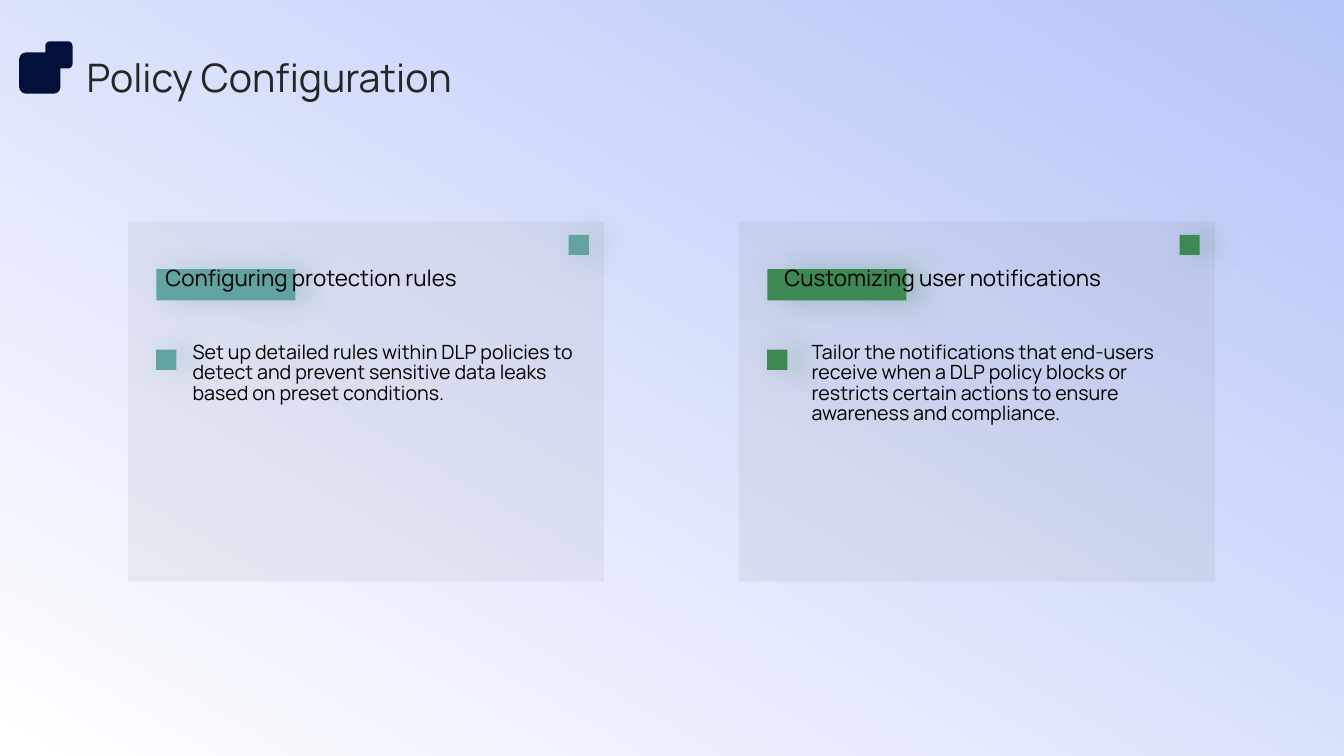
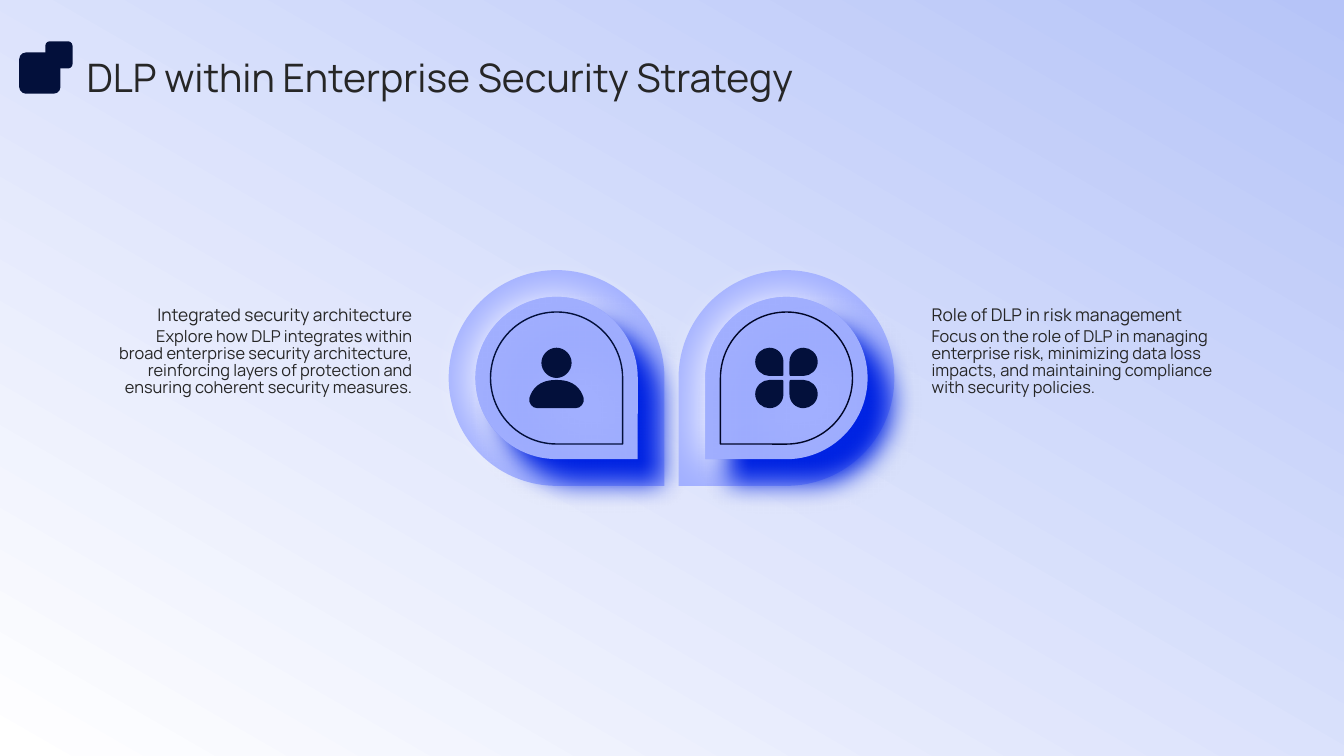
from lxml.etree import SubElement
from pptx import Presentation
from pptx.dml.color import RGBColor
from pptx.enum.shapes import MSO_SHAPE
from pptx.enum.text import MSO_ANCHOR, PP_ALIGN
from pptx.oxml.ns import qn
from pptx.util import Inches, Pt

BLACK = RGBColor(0x00, 0x00, 0x00)
WHITE = RGBColor(0xFF, 0xFF, 0xFF)
CHARCOAL = RGBColor(0x26, 0x26, 0x26)
GRAY = RGBColor(0x80, 0x80, 0x80)
NAVY = RGBColor(0x03, 0x10, 0x3B)
INK = RGBColor(0x00, 0x06, 0x27)
SKY = RGBColor(0xB6, 0xC4, 0xF8)
PERIWINKLE = RGBColor(0xA1, 0xAF, 0xFF)
COBALT = RGBColor(0x00, 0x23, 0xE3)
ROYAL = RGBColor(0x23, 0x4E, 0xEB)
TEAL = RGBColor(0x62, 0xA3, 0x9F)
GREEN = RGBColor(0x3E, 0x88, 0x53)

FONT = "Manrope"
WIDTH, HEIGHT = 13.33, 7.5
BODY_SPACING = 0.87

# Icon outlines: (command, x, y, ...) in inches from the icon centre
PERSON = [
    ("M", 0, 0.02), ("C", 0.18, 0.02, 0.24, 0.11, 0.27, 0.2),
    ("C", 0.28, 0.25, 0.24, 0.3, 0.19, 0.3), ("L", -0.19, 0.3),
    ("C", -0.24, 0.3, -0.28, 0.25, -0.27, 0.2),
    ("C", -0.24, 0.11, -0.18, 0.02, 0, 0.02), ("Z",),
    ("M", 0, -0.3), ("C", 0.08, -0.3, 0.15, -0.23, 0.15, -0.15),
    ("C", 0.15, -0.07, 0.08, 0, 0, 0),
    ("C", -0.08, 0, -0.15, -0.07, -0.15, -0.15),
    ("C", -0.15, -0.23, -0.08, -0.3, 0, -0.3), ("Z",),
]
PETAL = [
    ("M", 0.04, 0.02), ("L", 0.17, 0.02),
    ("C", 0.24, 0.02, 0.31, 0.08, 0.31, 0.16),
    ("C", 0.31, 0.24, 0.24, 0.3, 0.17, 0.3),
    ("C", 0.09, 0.3, 0.03, 0.24, 0.03, 0.16),
    ("L", 0.03, 0.04), ("C", 0.03, 0.03, 0.03, 0.02, 0.04, 0.02), ("Z",),
]
PATH_TAGS = {"M": "a:moveTo", "L": "a:lnTo", "C": "a:cubicBezTo", "Z": "a:close"}


def mirrored(outline, x_sign, y_sign):
    signs = (x_sign, y_sign)
    return [(step[0], *(value * signs[i % 2] for i, value in enumerate(step[1:])))
            for step in outline]


def clover():
    return [step for x_sign, y_sign in ((1, 1), (-1, 1), (1, -1), (-1, -1))
            for step in mirrored(PETAL, x_sign, y_sign)]


def joined_outline(outline):
    """Give every L step, written with x alone or in full, both coordinates."""
    steps = []
    for step in outline:
        if len(step) == 2:
            step = (*step, steps[-1][-1])
        steps.append(step)
    return steps


def set_alpha(color_element, percent):
    SubElement(color_element, qn("a:alpha"), val=str(percent * 1000))


def add_shadow(shape, color, alpha, blur, distance, direction):
    effects = shape._element.spPr.find(qn("a:effectLst"))
    shadow = SubElement(effects, qn("a:outerShdw"), blurRad=str(Pt(blur)), dist=str(Pt(distance)),
                        dir=str(direction * 60000), algn="ctr", rotWithShape="0")
    set_alpha(SubElement(shadow, qn("a:srgbClr"), val=str(color)), alpha)


def paint(shape, fill=None, line=None, alpha=None, shadow=None):
    shape.shadow.inherit = False
    if fill is None:
        shape.fill.background()
    else:
        shape.fill.solid()
        shape.fill.fore_color.rgb = fill
    if line is None:
        shape.line.fill.background()
    else:
        shape.line.color.rgb = line
        shape.line.width = Pt(1)
    if alpha is not None:
        set_alpha(shape._element.spPr.find(qn("a:solidFill"))[0], alpha)
    if shadow:
        add_shadow(shape, *shadow)


def add_preset(page, kind, place, rotation=0, **look):
    shape = page.shapes.add_shape(kind, *map(Inches, place))
    shape.rotation = rotation
    paint(shape, **look)
    return shape


def add_text(page, place, text, size, color=BLACK, anchor=MSO_ANCHOR.TOP,
             align=PP_ALIGN.LEFT, spacing=1.0):
    frame = page.shapes.add_textbox(*map(Inches, place)).text_frame
    para = frame.paragraphs[0]
    span = para.add_run()
    span.text = text
    formats = (
        (frame, {"word_wrap": True, "vertical_anchor": anchor, "margin_left": 0,
                 "margin_right": 0, "margin_top": 0, "margin_bottom": 0}),
        (para, {"alignment": align, "line_spacing": spacing}),
        (span.font, {"name": FONT, "size": Pt(size)}),
    )
    for target, values in formats:
        for name, value in values.items():
            setattr(target, name, value)
    span.font.color.rgb = color


def add_icon(page, center, outline):
    """Draw a curved outline, filled navy, around a centre point."""
    steps = [(step[0], list(zip(step[1::2], step[2::2]))) for step in joined_outline(outline)]
    points = [point for _, pairs in steps for point in pairs]
    left, right = min(x for x, _ in points), max(x for x, _ in points)
    top, bottom = min(y for _, y in points), max(y for _, y in points)
    corners = [(Inches(center[0] + x), Inches(center[1] + y))
               for x, y in ((left, top), (right, top), (right, bottom), (left, bottom))]
    builder = page.shapes.build_freeform(*corners[0])
    builder.add_line_segments(corners[1:])
    icon = builder.convert_to_shape()
    path = next(icon._element.iter(qn("a:path")))
    for child in list(path):
        path.remove(child)
    for command, pairs in steps:
        node = SubElement(path, qn(PATH_TAGS[command]))
        for x, y in pairs:
            SubElement(node, qn("a:pt"), x=str(Inches(x - left)), y=str(Inches(y - top)))
    paint(icon, fill=NAVY)


def add_page(deck):
    page = deck.slides.add_slide(deck.slide_layouts[6])
    backdrop = add_preset(page, MSO_SHAPE.RECTANGLE, (0, 0, WIDTH, HEIGHT))
    backdrop.fill.gradient()
    backdrop.fill.gradient_angle = 240
    for stop, color in zip(backdrop.fill.gradient_stops, (SKY, WHITE)):
        stop.color.rgb = color
    return page


def add_title(page, text):
    add_text(page, (0.86, 0.51, 11.67, 0.51), text, 28, CHARCOAL, MSO_ANCHOR.MIDDLE)
    for place in ((0.19, 0.52, 0.41, 0.41), (0.45, 0.41, 0.27, 0.27)):
        add_preset(page, MSO_SHAPE.ROUNDED_RECTANGLE, place, fill=NAVY)


def add_card(page, left, color, text_inset, heading, body):
    add_preset(page, MSO_SHAPE.RECTANGLE, (left, 2.2, 4.72, 3.57), fill=GRAY, alpha=10)
    accents = ((0.28, 2.67, 1.38, 0.31), (0.28, 3.47, 0.2, 0.2), (4.37, 2.33, 0.2, 0.2))
    for offset, *rest in accents:
        add_preset(page, MSO_SHAPE.RECTANGLE, (left + offset, *rest),
                   fill=color, shadow=(color, 32, 20, 10, 0))
    text_left = left + text_inset
    add_text(page, (text_left, 2.39, 3.91, 0.5), heading, 16, anchor=MSO_ANCHOR.BOTTOM)
    add_text(page, (text_left + 0.27, 3.4, 3.9, 1.89), body, 14, spacing=BODY_SPACING)


def add_pin(page, center, rotation, line, icon):
    """Stack concentric teardrops and set an icon in the middle."""
    x, y = center
    layers = (
        (2.14, {"fill": PERIWINKLE}),
        (1.61, {"fill": PERIWINKLE, "shadow": (WHITE, 100, 32, 3, 180)}),
        (1.61, {"fill": PERIWINKLE, "shadow": (COBALT, 100, 18, 24, 45)}),
        (1.31, {"line": line, "shadow": (ROYAL, 100, 34, 24, 45)}),
    )
    for size, look in layers:
        add_preset(page, MSO_SHAPE.TEAR, (x - size / 2, y - size / 2, size, size),
                   rotation, **look)
    add_icon(page, center, icon)


def add_caption(page, left, align, size, heading, body):
    add_text(page, (left, 3.26, 2.95, 1.54), body, 11.7, CHARCOAL,
             align=align, spacing=BODY_SPACING)
    add_text(page, (left, 2.91, 2.95, 0.31), heading, size, CHARCOAL,
             MSO_ANCHOR.BOTTOM, align)


def add_policy_page(deck):
    page = add_page(deck)
    add_card(page, 1.27, TEAL, 0.37, "Configuring protection rules",
             "Set up detailed rules within DLP policies to detect and prevent "
             "sensitive data leaks based on preset conditions.")
    add_card(page, 7.33, GREEN, 0.45, "Customizing user notifications",
             "Tailor the notifications that end-users receive when a DLP policy blocks "
             "or restricts certain actions to ensure awareness and compliance.")
    add_title(page, "Policy Configuration")


def add_strategy_page(deck):
    page = add_page(deck)
    add_pin(page, (5.52, 3.75), 90, NAVY, mirrored(PERSON, 1, 1))
    add_pin(page, (7.8, 3.75), 180, INK, clover())
    add_caption(page, 1.14, PP_ALIGN.RIGHT, 12.4, "Integrated security architecture",
                "Explore how DLP integrates within broad enterprise security architecture, "
                "reinforcing layers of protection and ensuring coherent security measures.")
    add_caption(page, 9.24, PP_ALIGN.LEFT, 12.5, "Role of DLP in risk management",
                "Focus on the role of DLP in managing enterprise risk, minimizing data loss "
                "impacts, and maintaining compliance with security policies.")
    add_title(page, "DLP within Enterprise Security Strategy")


def main():
    deck = Presentation()
    deck.slide_width, deck.slide_height = Inches(WIDTH), Inches(HEIGHT)
    add_policy_page(deck)
    add_strategy_page(deck)
    deck.save("out.pptx")


if __name__ == "__main__":
    main()
